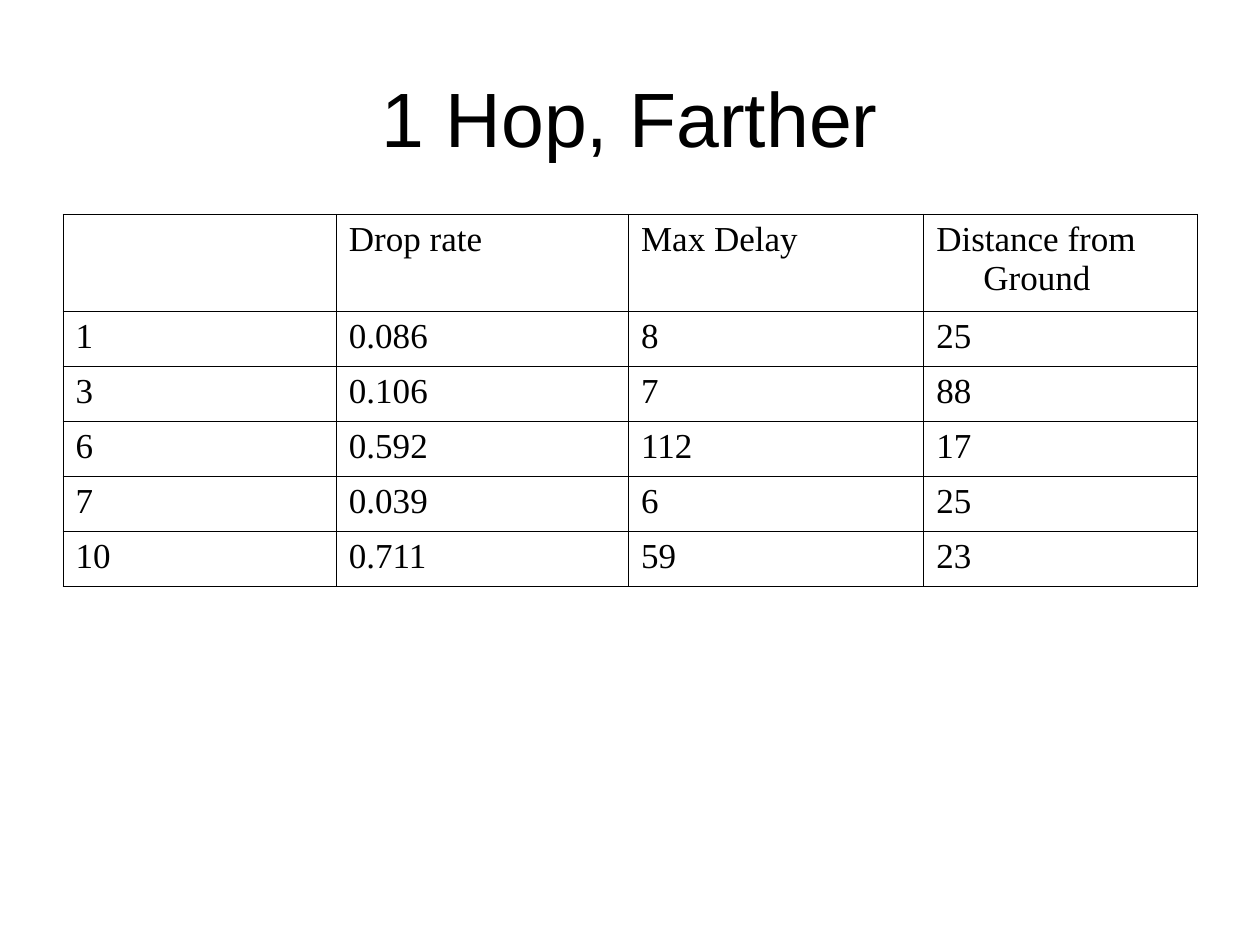
from lxml.etree import SubElement
from pptx import Presentation
from pptx.dml.color import RGBColor
from pptx.enum.text import MSO_ANCHOR, PP_ALIGN
from pptx.oxml.ns import qn
from pptx.util import Cm, Pt


def style_font(font, name, size, color):
    font.name = name
    font.size = Pt(size)
    font.color.rgb = RGBColor.from_string(color)


def add_borders(cell, color, width):
    properties = cell._tc.get_or_add_tcPr()
    for side in ("a:lnL", "a:lnR", "a:lnT", "a:lnB"):
        line = SubElement(properties, qn(side), w=str(Pt(width)))
        fill = SubElement(line, qn("a:solidFill"))
        SubElement(fill, qn("a:srgbClr"), val=color)


BLACK = "000000"
ROWS = [
    ["", "Drop rate", "Max Delay", "Distance from Ground"],
    ["1", "0.086", "8", "25"],
    ["3", "0.106", "7", "88"],
    ["6", "0.592", "112", "17"],
    ["7", "0.039", "6", "25"],
    ["10", "0.711", "59", "23"],
]
COLUMN_WIDTHS = [5.51, 5.89, 5.95, 5.51]
ROW_HEIGHTS = [1.95] + [1.11] * 5

deck = Presentation()
deck.slide_width, deck.slide_height = Cm(25.4), Cm(19.05)
page = deck.slides.add_slide(deck.slide_layouts[6])

title = page.shapes.add_textbox(Cm(1.27), Cm(0.76), Cm(22.86), Cm(3.18))
title.text_frame.word_wrap = True
title.text_frame.vertical_anchor = MSO_ANCHOR.MIDDLE
title.text_frame.text = "1 Hop, Farther"
heading = title.text_frame.paragraphs[0]
heading.alignment = PP_ALIGN.CENTER
style_font(heading.runs[0].font, "Arial", 44, BLACK)

frame = page.shapes.add_table(
    len(ROWS), len(COLUMN_WIDTHS),
    Cm(1.27), Cm(4.32), Cm(sum(COLUMN_WIDTHS)), Cm(sum(ROW_HEIGHTS)),
)
table = frame.table
table.first_row = table.horz_banding = False
for column, width in zip(table.columns, COLUMN_WIDTHS):
    column.width = Cm(width)
for row, height, texts in zip(table.rows, ROW_HEIGHTS, ROWS):
    row.height = Cm(height)
    for cell, text in zip(row.cells, texts):
        add_borders(cell, BLACK, 0.45)
        cell.fill.background()
        cell.text_frame.text = text
        paragraph = cell.text_frame.paragraphs[0]
        hanging = paragraph._p.get_or_add_pPr()
        hanging.set("marL", str(Cm(0.95)))
        hanging.set("indent", str(-Cm(0.95)))
        for span in paragraph.runs:
            style_font(span.font, "Times New Roman", 20, BLACK)

deck.save("out.pptx")
